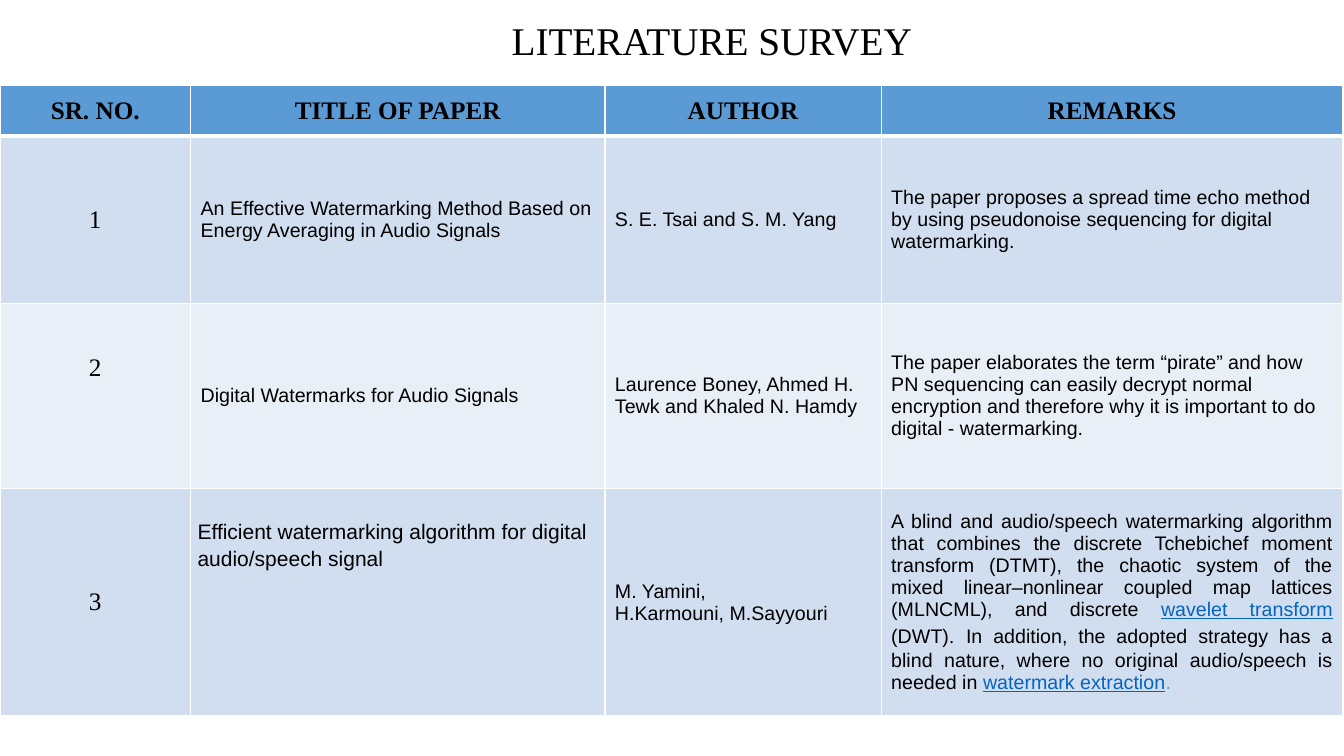
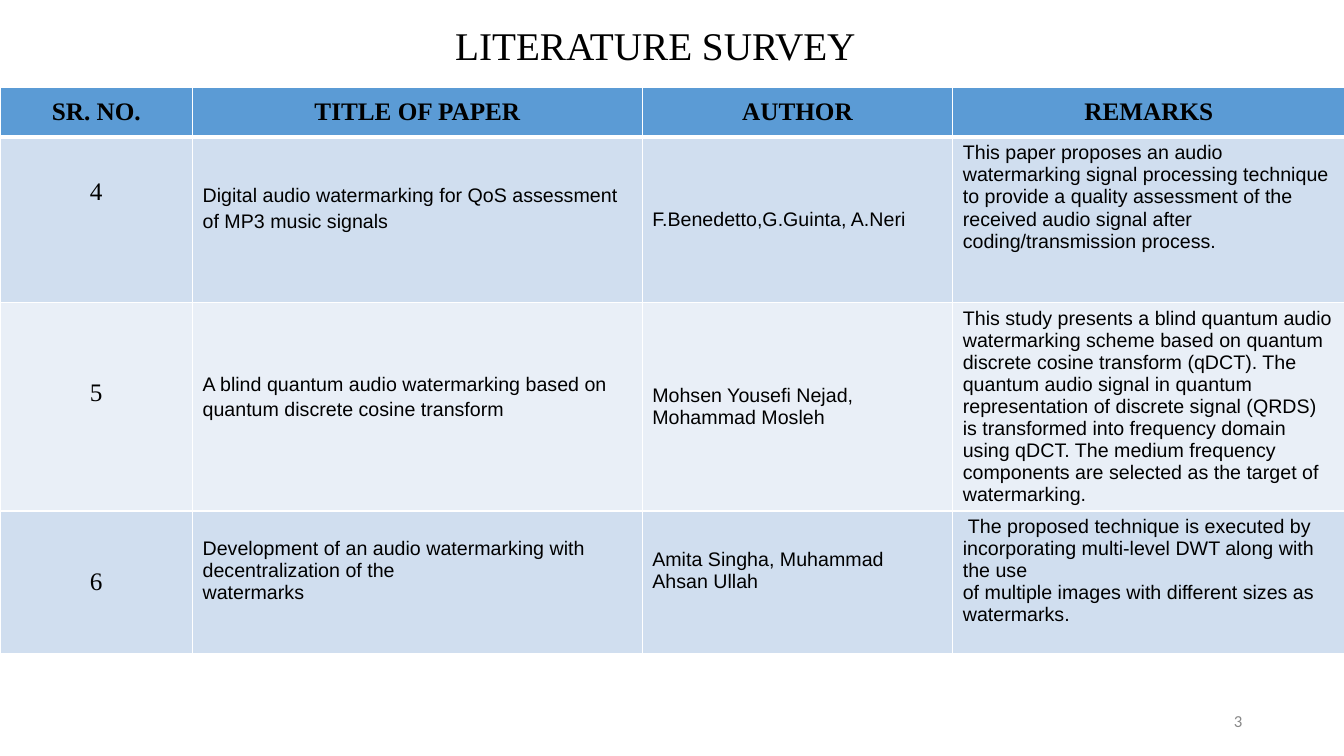
from lxml import etree
from pptx import Presentation
from pptx.dml.color import RGBColor
from pptx.enum import text as t
from pptx.oxml import ns
from pptx.util import Inches, Pt

BLACK = RGBColor(0x00, 0x00, 0x00)
WHITE = RGBColor(0xFF, 0xFF, 0xFF)
BLUE = RGBColor(0x5B, 0x9B, 0xD5)
PALE = RGBColor(0xD0, 0xDE, 0xEF)
LIGHT = RGBColor(0xE9, 0xEF, 0xF7)
LINK = RGBColor(0x05, 0x63, 0xC1)
GREY = RGBColor(0x88, 0x88, 0x88)

SERIF = "Times New Roman"
SANS = "Arial"
LEFT, MID, RIGHT, JUST = (
    t.PP_ALIGN.LEFT, t.PP_ALIGN.CENTER, t.PP_ALIGN.RIGHT, t.PP_ALIGN.JUSTIFY)
HEADS = ["SR. NO.", "TITLE OF PAPER", "AUTHOR", "REMARKS"]

FIRST = [
    ["1",
     "An Effective Watermarking Method Based on Energy Averaging in Audio Signals",
     "S. E. Tsai and S. M. Yang",
     "The paper proposes a spread time echo method by using pseudonoise "
     "sequencing for digital watermarking."],
    [("2", dict(low=0.6)),
     "Digital Watermarks for Audio Signals",
     "Laurence Boney, Ahmed H. Tewk and Khaled N. Hamdy",
     "The paper elaborates the term “pirate” and how PN sequencing can easily "
     "decrypt normal encryption and therefore why it is important to do "
     "digital - watermarking."],
    ["3",
     ("Efficient watermarking algorithm for digital audio/speech signal",
      dict(size=15, line=1.15, side=0.07, low=1.2)),
     ("M. Yamini,\nH.Karmouni, M.Sayyouri", dict(align=JUST)),
     ([("A blind and audio/speech watermarking algorithm that combines the "
        "discrete Tchebichef moment transform (DTMT), the chaotic system of "
        "the mixed linear–nonlinear coupled map lattices (MLNCML), and discrete ", {}),
       ("wavelet transform", dict(color=LINK, under=True)),
       (" (DWT)", {}),
       (".", dict(size=13.5, font="TeX Gyre Schola")),
       (" ", dict(size=18, font=SERIF)),
       ("In addition, the adopted strategy has a blind nature, where no "
        "original audio/speech is needed in ", {}),
       ("watermark extraction", dict(color=LINK, under=True)),
       (".", dict(color=BLUE))], dict(align=JUST))],
]

TOP = dict(anchor=t.MSO_ANCHOR.TOP)
SECOND = [
    [("4", dict(low=0.6)),
     ("Digital audio watermarking for QoS assessment of MP3 music signals",
      dict(line=1.15, low=0.3)),
     "F.Benedetto,G.Guinta, A.Neri",
     ("This paper proposes an audio watermarking signal processing technique "
      "to provide a quality assessment of the received audio signal after "
      "coding/transmission process.", TOP)],
    [("5", dict(low=0.33)),
     ("A blind quantum audio watermarking based on quantum discrete cosine transform",
      dict(line=1.15, low=0.27)),
     "Mohsen Yousefi Nejad, Mohammad Mosleh",
     ("This study presents a blind quantum audio watermarking scheme based on "
      "quantum discrete cosine transform (qDCT). The quantum audio signal in "
      "quantum representation of discrete signal (QRDS) is transformed into "
      "frequency domain using qDCT. The medium frequency components are "
      "selected as the target of watermarking.", TOP)],
    ["6",
     ("Development of an audio watermarking with decentralization of the\nwatermarks",
      dict(low=0.27)),
     ("Amita Singha, Muhammad Ahsan Ullah", dict(low=0.27)),
     (" The proposed technique is executed by incorporating multi-level DWT "
      "along with the use\nof multiple images with different sizes as "
      "watermarks.", TOP)],
]


def style(font, size, name, color, bold=False, under=False):
    font.size, font.name, font.bold = Pt(size), name, bold
    font.color.rgb = color
    font.underline = under


def write(frame, text, size=14, font=SANS, color=BLACK, bold=False,
          align=LEFT, line=None):
    if isinstance(text, str):
        paras = [[(part, {})] for part in text.split("\n")]
    else:
        paras = [text]
    for i, runs in enumerate(paras):
        para = frame.add_paragraph() if i else frame.paragraphs[0]
        para.alignment = align
        if line:
            para.line_spacing = line
        for part, own in runs:
            run = para.add_run()
            run.text = part
            style(run.font, own.get("size", size), own.get("font", font),
                  own.get("color", color), bold, own.get("under", False))


def edge(cell, side, width):
    props = cell._tc.get_or_add_tcPr()
    line = etree.Element(ns.qn("a:ln" + side), w=str(Pt(width)))
    fill = etree.SubElement(line, ns.qn("a:solidFill"))
    etree.SubElement(fill, ns.qn("a:srgbClr"), val=str(WHITE))
    props.append(line)


def fill_cell(cell, text, fill, widths, anchor=t.MSO_ANCHOR.MIDDLE,
              side=0.1, low=0.05, **fmt):
    for name, width in zip("LRTB", widths):
        edge(cell, name, width)
    cell.fill.solid()
    cell.fill.fore_color.rgb = fill
    cell.vertical_anchor = anchor
    cell.margin_left = cell.margin_right = Inches(side)
    cell.margin_top, cell.margin_bottom = Inches(0.05), Inches(low)
    write(cell.text_frame, text, **fmt)


def add_grid(slide, top, cols, rows, data):
    shape = slide.shapes.add_table(
        len(rows), len(cols), 0, Inches(top), Inches(sum(cols)), Inches(sum(rows)))
    grid = shape.table
    for col, width in zip(grid.columns, cols):
        col.width = Inches(width)
    for row, height in zip(grid.rows, rows):
        row.height = Inches(height)
    for c, head in enumerate(HEADS):
        fill_cell(grid.cell(0, c), head, BLUE, (1, 1, 1, 3),
                  size=18, font=SERIF, bold=True, align=MID)
    for r, row in enumerate(data, 1):
        fill = PALE if r % 2 else LIGHT
        widths = (1, 1, 3 if r == 1 else 1, 1)
        for c, item in enumerate(row):
            text, own = item if isinstance(item, tuple) else (item, {})
            base = {} if c else dict(size=18, font=SERIF, align=MID)
            fill_cell(grid.cell(r, c), text, fill, widths, **{**base, **own})


def add_slide(deck, box):
    slide = deck.slides.add_slide(deck.slide_layouts[5])
    title = slide.shapes.title
    title.left, title.top, title.width, title.height = map(Inches, box)
    title.text_frame.vertical_anchor = t.MSO_ANCHOR.MIDDLE
    write(title.text_frame, "LITERATURE SURVEY", size=28, font=SERIF,
          align=MID, line=0.9)
    return slide


def add_page(slide, text):
    box = slide.shapes.add_textbox(*map(Inches, (9.42, 6.95, 3, 0.4)))
    box.text_frame.word_wrap = True
    box.text_frame.vertical_anchor = t.MSO_ANCHOR.MIDDLE
    write(box.text_frame, text, size=12, font="Calibri", color=GREY, align=RIGHT)


def main():
    deck = Presentation()
    deck.slide_width, deck.slide_height = Inches(13.33), Inches(7.5)
    slide = add_slide(deck, (2.08, 0, 9.96, 0.85))
    add_grid(slide, 0.85, (1.89, 4.11, 2.74, 4.58), (0.5, 1.66, 1.84, 2.25), FIRST)
    slide = add_slide(deck, (0.75, -0.25, 11.5, 1.45))
    add_grid(slide, 0.87, (1.91, 4.46, 3.08, 3.89), (0.49, 1.64, 2.07, 1.41), SECOND)
    add_page(slide, "3")
    deck.save("out.pptx")


if __name__ == "__main__":
    main()
